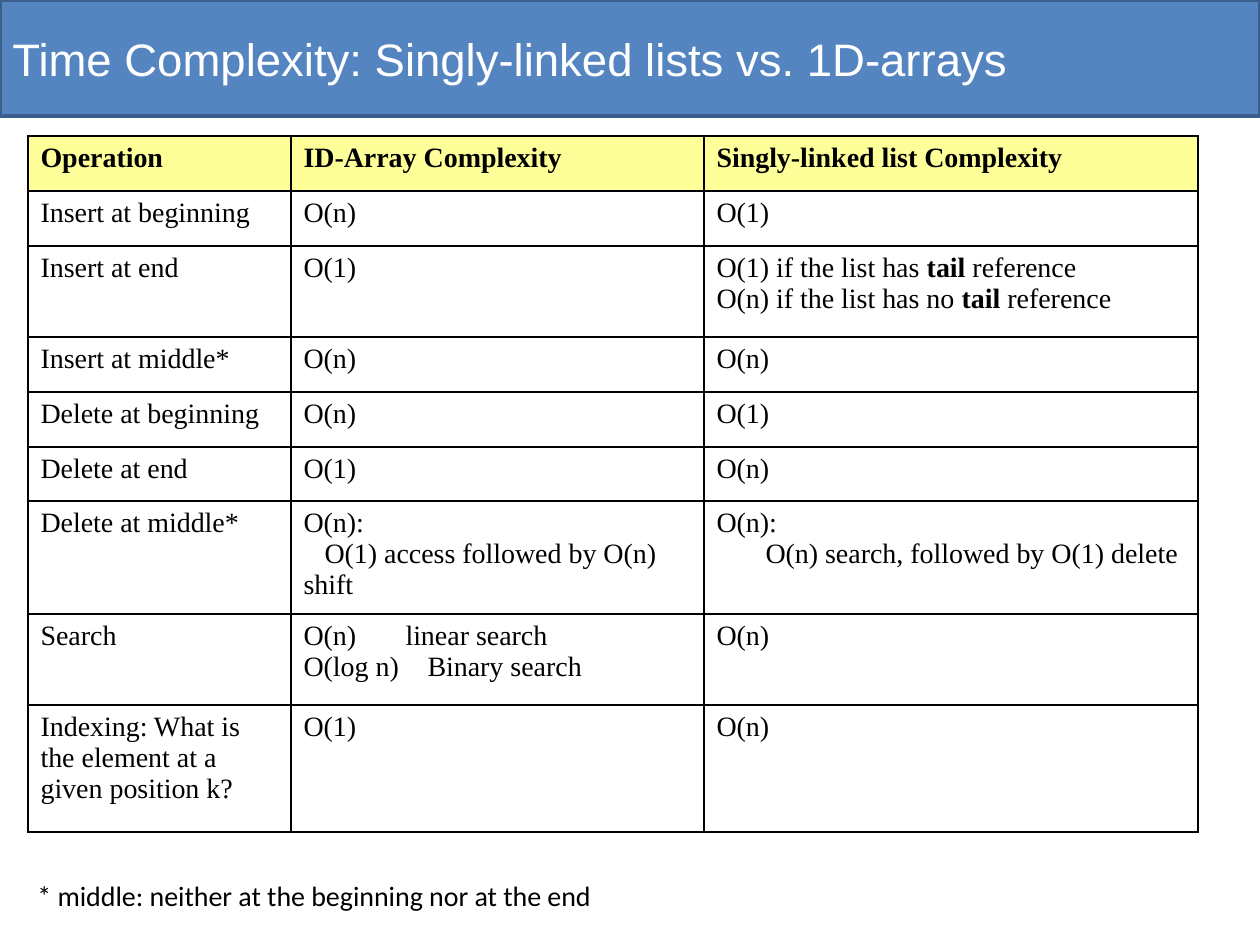
"""Build a slide comparing the time complexity of lists and arrays."""
from lxml import etree
from pptx import Presentation
from pptx import util as u
from pptx.dml.color import RGBColor
from pptx.enum import shapes, text
from pptx.oxml.ns import qn

SCALE = 914400 / 126
COLORS = {"bar": "5485C0", "edge": "3A5F8C", "header": "FFFF99",
          "ink": "000000", "title": "FFFFFF"}
COLUMNS = [263, 413, 494]
HEIGHTS = [55, 55, 91, 55, 55, 54, 107, 91, 127]
ROWS = [
    ["Operation", "ID-Array Complexity", "Singly-linked list Complexity"],
    ["Insert at beginning", "O(n)", "O(1)"],
    ["Insert at end", "O(1)",
     [{"words": "O(1) if the list has |tail| reference"},
      {"words": "O(n) if the list has no |tail| reference"}]],
    ["Insert at middle*", "O(n)", "O(n)"],
    ["Delete at beginning", "O(n)", "O(1)"],
    ["Delete at end", "O(1)", "O(n)"],
    ["Delete at middle*",
     [{"words": "O(n):"},
      {"words": "O(1) access followed by O(n) shift", "indent": 21}],
     [{"words": "O(n):"},
      {"words": "O(n) search, followed by O(1) delete", "indent": 49}]],
    ["Search",
     [{"words": "O(n)\tlinear search", "tab": 102},
      {"words": "O(log n)\tBinary search", "tab": 124}],
     "O(n)"],
    ["Indexing: What is the element at a given position k?", "O(1)", "O(n)"],
]


def px(length):
    """Turn pixels into EMU."""
    return u.Emu(round(length * SCALE))


def color(name):
    """Look up a named colour."""
    return RGBColor.from_string(COLORS[name])


def add_span(para, words, font, size, ink="ink", bold=False):
    """Add one styled run to a paragraph."""
    span = para.add_run()
    span.text = words
    span.font.name = font
    span.font.size = u.Pt(size)
    span.font.bold = bold
    span.font.color.rgb = color(ink)


def set_layout(para, indent=0, tab=0):
    """Set a first-line indent and a tab stop."""
    properties = para._p.get_or_add_pPr()
    if indent:
        properties.set("marL", "0")
        properties.set("indent", str(px(indent)))
    if tab:
        stops = etree.SubElement(properties, qn("a:tabLst"))
        etree.SubElement(stops, qn("a:tab"), pos=str(px(tab)), algn="l")


def add_bar(page):
    """Add the coloured bar behind the title."""
    bar = page.shapes.add_shape(shapes.MSO_SHAPE.RECTANGLE,
                                0, 0, px(1260), px(116))
    bar.shadow.inherit = False
    bar.fill.solid()
    bar.fill.fore_color.rgb = color("bar")
    bar.line.color.rgb = color("edge")
    bar.line.width = u.Pt(2)


def add_label(page, area, words, font, size, ink="ink", wrap=True):
    """Add a single-paragraph text box centred vertically."""
    box = page.shapes.add_textbox(*map(px, area))
    frame = box.text_frame
    frame.word_wrap = wrap
    frame.vertical_anchor = text.MSO_ANCHOR.MIDDLE
    add_span(frame.paragraphs[0], words, font, size, ink)


def set_borders(cell):
    """Draw a thin line on every side of a cell."""
    properties = cell._tc.get_or_add_tcPr()
    for side in ("lnL", "lnR", "lnT", "lnB"):
        line = etree.SubElement(properties, qn(f"a:{side}"), w=str(u.Pt(1)))
        fill = etree.SubElement(line, qn("a:solidFill"))
        etree.SubElement(fill, qn("a:srgbClr"), val=COLORS["ink"])


def fill_cell(cell, content, header):
    """Style a cell and write its paragraphs; bars enclose bold words."""
    set_borders(cell)
    if header:
        cell.fill.solid()
        cell.fill.fore_color.rgb = color("header")
    else:
        cell.fill.background()
    lines = [{"words": content}] if isinstance(content, str) else content
    for number, line in enumerate(lines):
        frame = cell.text_frame
        para = frame.add_paragraph() if number else frame.paragraphs[0]
        set_layout(para, line.get("indent", 0), line.get("tab", 0))
        for part, words in enumerate(line["words"].split("|")):
            add_span(para, words, "Times New Roman", 16,
                     bold=header or part % 2 == 1)


def add_complexity_table(page):
    """Add the table of operations and their complexities."""
    frame = page.shapes.add_table(len(ROWS), len(COLUMNS), px(28), px(136),
                                  px(sum(COLUMNS)), px(sum(HEIGHTS)))
    table = frame.table
    table.horz_banding = False
    for column, width in zip(table.columns, COLUMNS):
        column.width = px(width)
    for row, height, contents in zip(table.rows, HEIGHTS, ROWS):
        row.height = px(height)
        for cell, content in zip(row.cells, contents):
            fill_cell(cell, content, contents is ROWS[0])


def main():
    """Build and save the deck."""
    deck = Presentation()
    deck.slide_width, deck.slide_height = px(1260), px(945)
    page = deck.slides.add_slide(deck.slide_layouts[6])
    add_bar(page)
    add_label(page, (0, 0, 1198, 116),
              "Time Complexity: Singly-linked lists vs. 1D-arrays",
              "Arial", 26, "title")
    add_complexity_table(page)
    add_label(page, (25, 872, 615, 47),
              "* middle: neither at the beginning nor at the end",
              "Calibri", 16, wrap=False)
    deck.save("out.pptx")


if __name__ == "__main__":
    main()
